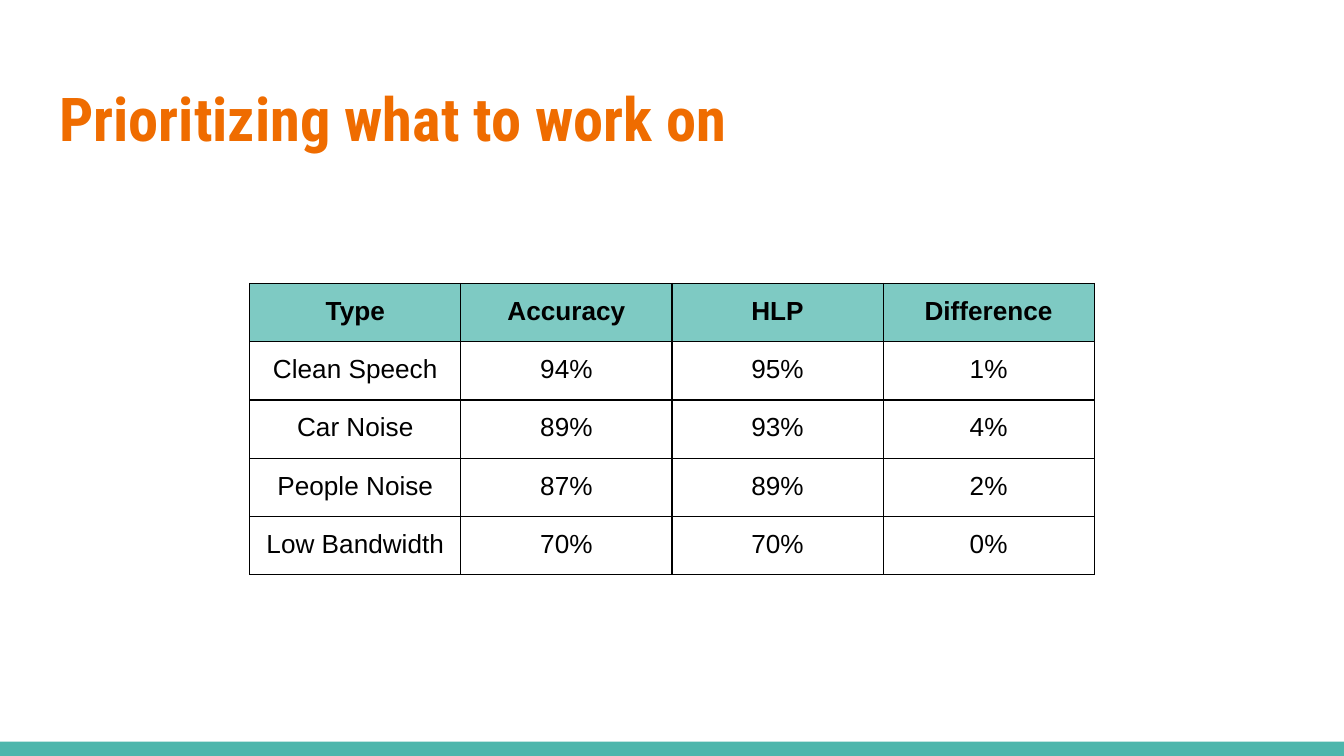
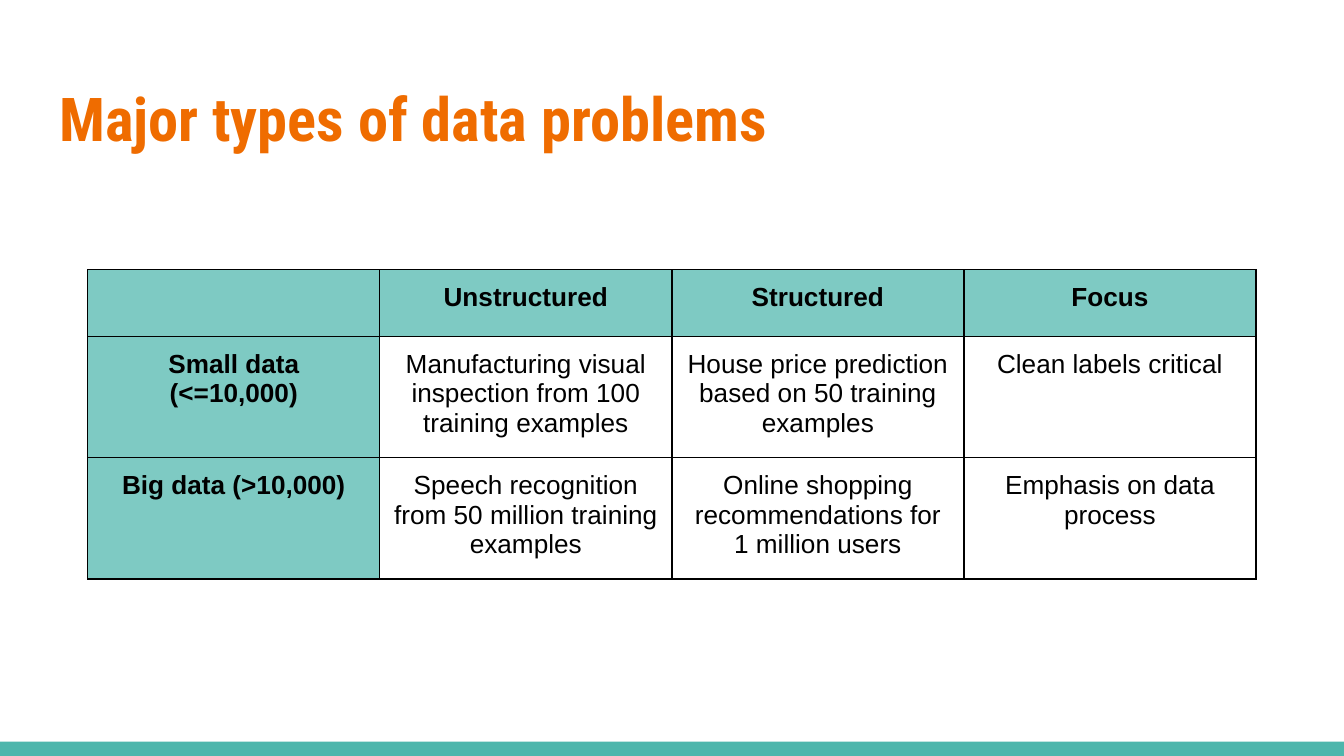
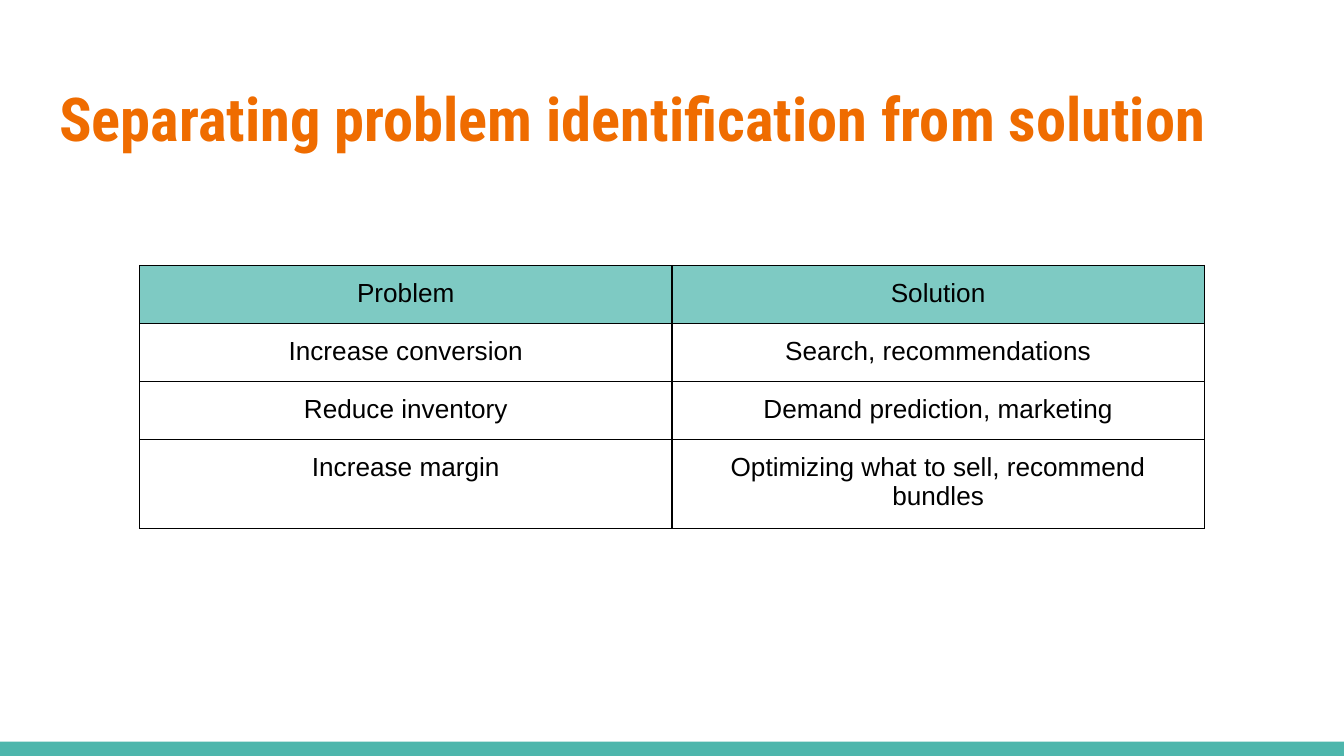
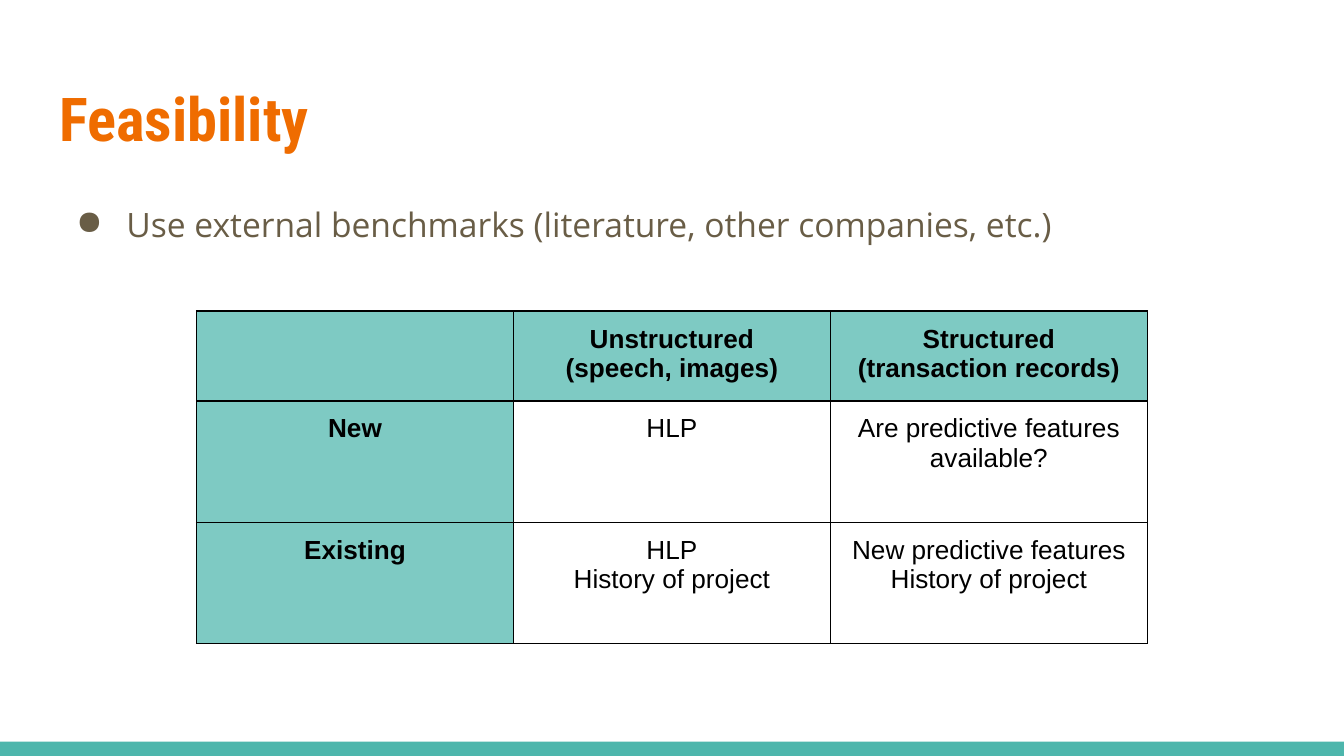
"""Build four slides of tables on data problems and project scoping."""
import lxml.etree
import pptx
import pptx.dml.color
import pptx.enum.shapes
import pptx.enum.text
import pptx.oxml
import pptx.oxml.ns
import pptx.util

Cm = pptx.util.Cm
Pt = pptx.util.Pt
RGBColor = pptx.dml.color.RGBColor
ALIGN = pptx.enum.text.PP_ALIGN
ANCHOR = pptx.enum.text.MSO_ANCHOR
qn = pptx.oxml.ns.qn

TEAL = RGBColor(0x4D, 0xB6, 0xAC)
ORANGE = RGBColor(0xEF, 0x6C, 0x00)
BROWN = RGBColor(0x69, 0x5D, 0x46)
BLACK = RGBColor(0, 0, 0)
WHITE = RGBColor(0xFF, 0xFF, 0xFF)

SLIDE_WIDTH = 25.4
SLIDE_HEIGHT = 14.29
BAND_HEIGHT = 0.27
INSET = Cm(0.25)
BORDER_XML = (
    '<a:{side} xmlns:a="http://schemas.openxmlformats.org/drawingml/2006/main" w="9525">'
    '<a:solidFill><a:srgbClr val="{color}"/></a:solidFill></a:{side}>'
)

SLIDES = [
    {
        "title": "Prioritizing what to work on",
        "top": 5.36, "column": 3.99, "rows": [1.1] * 5, "bold_header": True,
        "cells": [
            ["Type", "Accuracy", "HLP", "Difference"],
            ["Clean Speech", "94%", "95%", "1%"],
            ["Car Noise", "89%", "93%", "4%"],
            ["People Noise", "87%", "89%", "2%"],
            ["Low Bandwidth", "70%", "70%", "0%"],
        ],
    },
    {
        "title": "Major types of data problems",
        "top": 5.1, "column": 5.52, "rows": [1.1, 2.29, 2.29], "bold_header": True,
        "cells": [
            ["", "Unstructured", "Structured", "Focus"],
            ["Small data (<=10,000)",
             "Manufacturing visual inspection from 100 training examples",
             "House price prediction based on 50 training examples",
             "Clean labels critical"],
            ["Big data (>10,000)",
             "Speech recognition from 50 million training examples",
             "Online shopping recommendations for 1 million users",
             "Emphasis on data process"],
        ],
    },
    {
        "title": "Separating problem identification from solution",
        "top": 5.02, "column": 10.06, "rows": [1.06] * 4, "bold_header": False,
        "cells": [
            ["Problem", "Solution"],
            ["Increase conversion", "Search, recommendations"],
            ["Reduce inventory", "Demand prediction, marketing"],
            ["Increase margin", "Optimizing what to sell, recommend bundles"],
        ],
    },
    {
        "title": "Feasibility",
        "bullet": "Use external benchmarks (literature, other companies, etc.)",
        "top": 5.88, "column": 5.99, "rows": [1.7, 2.29, 2.29], "bold_header": True,
        "cells": [
            ["", "Unstructured\n(speech, images)", "Structured\n(transaction records)"],
            ["New", "HLP", "Are predictive features available?"],
            ["Existing", "HLP\nHistory of project",
             "New predictive features\nHistory of project"],
        ],
    },
]


def write(frame, text, *, font, size, color, bold=False, align=ALIGN.LEFT,
          spacing=1.0, bullet=None):
    """Fill a text frame, one paragraph for each line of the text."""
    frame.word_wrap = True
    for number, line in enumerate(text.split("\n")):
        para = frame.add_paragraph() if number else frame.paragraphs[0]
        para.alignment = align
        para.line_spacing = spacing
        if bullet:
            properties = para._p.get_or_add_pPr()
            properties.set("marL", str(Cm(1.27)))
            properties.set("indent", str(-Cm(0.95)))
            mark = lxml.etree.SubElement(properties, qn("a:buChar"))
            mark.set("char", bullet)
        span = para.add_run()
        span.text = line
        span.font.name = font
        span.font.size = Pt(size)
        span.font.bold = bold
        span.font.color.rgb = color


def add_text_box(slide, top, height, anchor):
    """Add an empty text box across the content width."""
    frame = slide.shapes.add_textbox(Cm(0.87), Cm(top), Cm(23.67), Cm(height)).text_frame
    frame.margin_left = frame.margin_right = INSET
    frame.margin_top = frame.margin_bottom = INSET
    frame.vertical_anchor = anchor
    return frame


deck = pptx.Presentation()
deck.slide_width = Cm(SLIDE_WIDTH)
deck.slide_height = Cm(SLIDE_HEIGHT)

for content in SLIDES:
    slide = deck.slides.add_slide(deck.slide_layouts[6])
    slide.background.fill.solid()
    slide.background.fill.fore_color.rgb = WHITE

    band = slide.shapes.add_shape(
        pptx.enum.shapes.MSO_SHAPE.RECTANGLE, 0, Cm(SLIDE_HEIGHT - BAND_HEIGHT),
        Cm(SLIDE_WIDTH), Cm(BAND_HEIGHT))
    band.shadow.inherit = False
    band.fill.solid()
    band.fill.fore_color.rgb = TEAL
    band.line.fill.background()

    write(add_text_box(slide, 1.24, 1.96, ANCHOR.MIDDLE), content["title"],
          font="Roboto Condensed", size=32.4, color=ORANGE, bold=True)
    if "bullet" in content:
        write(add_text_box(slide, 3.5, 9.17, ANCHOR.TOP), content["bullet"],
              font="Open Sans", size=18, color=BROWN, spacing=1.15, bullet="●")

    cells = content["cells"]
    column_count = len(cells[0])
    table_width = content["column"] * column_count
    table = slide.shapes.add_table(
        len(cells), column_count, Cm((SLIDE_WIDTH - table_width) / 2),
        Cm(content["top"]), Cm(table_width), Cm(sum(content["rows"]))).table
    table.first_row = False
    table.horz_banding = False
    for column in table.columns:
        column.width = Cm(content["column"])
    for row, height in zip(table.rows, content["rows"]):
        row.height = Cm(height)

    has_row_headers = not cells[0][0]
    for row_number, texts in enumerate(cells):
        for column_number, text in enumerate(texts):
            cell = table.cell(row_number, column_number)
            cell.margin_left = cell.margin_right = INSET
            cell.margin_top = cell.margin_bottom = INSET
            is_header = row_number == 0 or (has_row_headers and column_number == 0)
            if is_header:
                cell.fill.solid()
                cell.fill.fore_color.rgb = TEAL
                shade = cell._tc.tcPr.find(".//" + qn("a:srgbClr"))
                lxml.etree.SubElement(shade, qn("a:alpha")).set("val", "72000")
            else:
                cell.fill.background()
            for position, side in enumerate(["lnL", "lnR", "lnT", "lnB"]):
                border = pptx.oxml.parse_xml(BORDER_XML.format(side=side, color=BLACK))
                cell._tc.tcPr.insert(position, border)
            if text:
                write(cell.text_frame, text, font="Arial", size=14, color=BLACK,
                      bold=is_header and content["bold_header"], align=ALIGN.CENTER)

deck.save("out.pptx")
